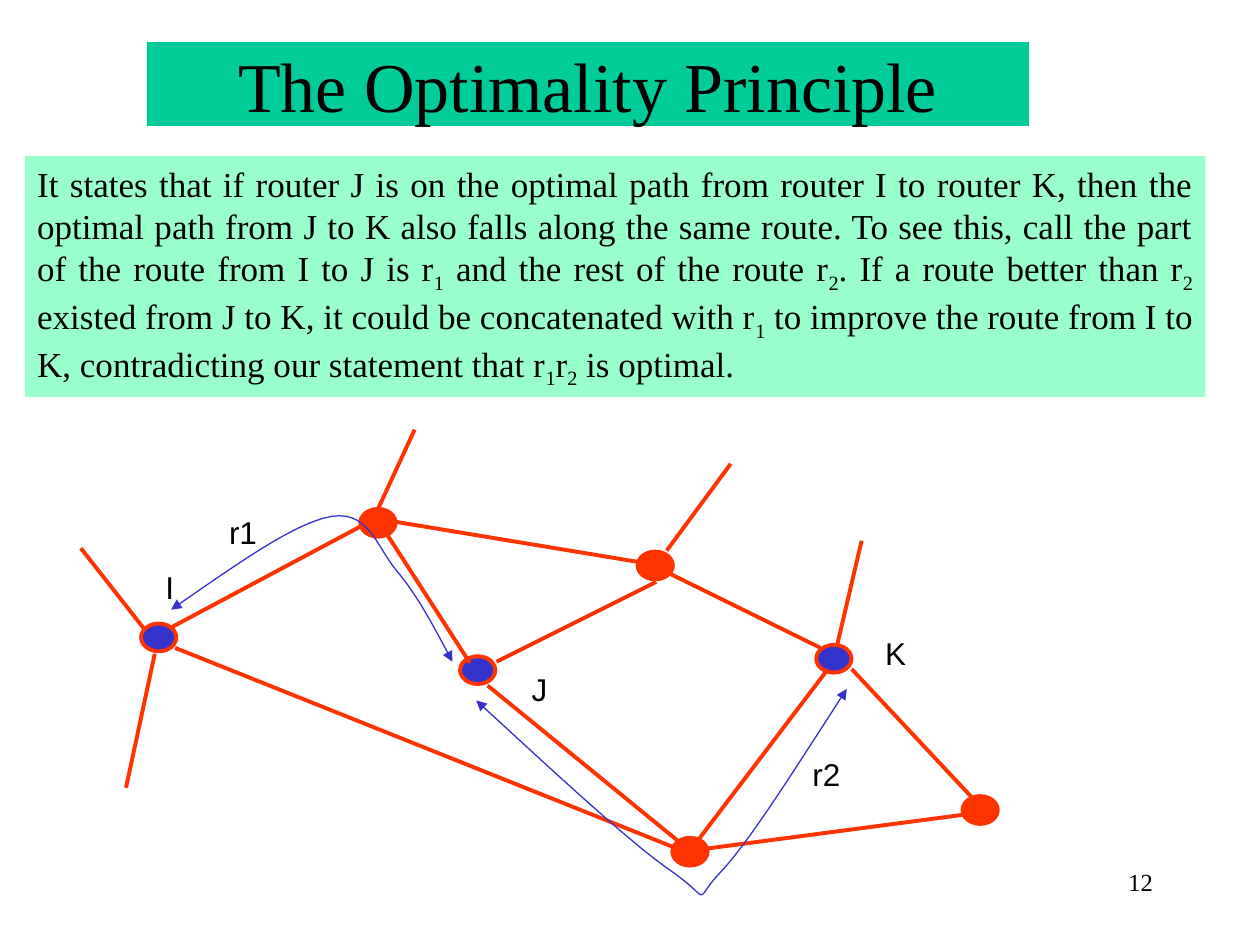
from lxml.etree import SubElement
from pptx import Presentation
from pptx.dml.color import RGBColor
from pptx.enum.shapes import MSO_CONNECTOR, MSO_SHAPE
from pptx.enum.text import MSO_ANCHOR, PP_ALIGN
from pptx.oxml.ns import qn
from pptx.util import Cm, Pt

TITLE_GREEN = RGBColor(0x00, 0xCC, 0x99)
PANEL_GREEN = RGBColor(0x99, 0xFF, 0xCC)
RED = RGBColor(0xFF, 0x33, 0x00)
BLUE = RGBColor(0x33, 0x33, 0xCC)
BLACK = RGBColor(0x00, 0x00, 0x00)
SERIF = "Times New Roman"
SANS = "Arial"

# Text between underscores is set as subscript.
PRINCIPLE = (
    "It states that if router J is on the optimal path from router I to router K, "
    "then the optimal path from J to K also falls along the same route. To see this, "
    "call the part of the route from I to J is r_1_ and the rest of the route r_2_. "
    "If a route better than r_2_ existed from J to K, it could be concatenated with "
    "r_1_ to improve the route from I to K, contradicting our statement that "
    "r_1_r_2_ is optimal."
)

# Diagram coordinates are centimetres from the corner of its box.
NODE_WIDTH, NODE_HEIGHT = 0.71, 0.56
NODES = [
    (1.6, 4.25, BLUE),
    (6.02, 1.94, RED),
    (15.21, 4.68, BLUE),
    (8.03, 4.91, BLUE),
    (11.61, 2.8, RED),
    (18.16, 7.73, RED),
    (12.31, 8.57, RED),
]
LINKS = [
    (1.85, 4.05, 5.84, 1.92),
    (6.22, 2.2, 7.87, 4.76),
    (6.38, 1.92, 11.4, 2.75),
    (11.63, 2.83, 14.94, 4.46),
    (15.57, 4.89, 18.09, 7.58),
    (12.55, 8.52, 17.93, 7.81),
    (11.63, 3.13, 8.41, 4.74),
    (8.23, 5.22, 12.09, 8.37),
    (15.09, 4.89, 12.47, 8.34),
    (1.93, 4.46, 12.01, 8.49),
]
OUTER_LINKS = [
    (0.03, 2.45, 1.3, 4.07),
    (1.52, 4.58, 0.94, 7.28),
    (6.02, 1.66, 6.76, 0.06),
    (15.27, 4.43, 15.77, 2.3),
    (11.84, 2.5, 13.13, 0.75),
]
LABELS = [
    ("I", 1.14, 2.73, 1.37),
    ("J", 8.59, 4.79, 1.37),
    ("K", 15.77, 4.05, 1.37),
    ("r1", 2.31, 1.61, 1.98),
    ("r2", 14.07, 6.49, 1.98),
]
# Bezier points: a start, then two controls and an end for each segment.
ROUTES = [
    [(1.85, 3.69), (3.1, 2.83), (4.32, 1.94), (5.08, 1.81), (5.84, 1.69),
     (5.99, 2.42), (6.4, 2.91), (6.81, 3.39), (7.16, 4.05), (7.52, 4.74)],
    [(8, 5.52), (9.58, 6.97), (11.15, 8.44), (11.99, 9), (12.8, 9.59),
     (12.34, 9.59), (12.93, 8.98), (13.51, 8.37), (14.48, 6.82), (15.47, 5.29)],
]
CURVE_STEPS = 14


def set_font(paragraph, name, size, alignment):
    paragraph.alignment = alignment
    paragraph.font.name = name
    paragraph.font.size = Pt(size)
    paragraph.font.color.rgb = BLACK


def add_text(slide, text, left, top, width, height, name, size, alignment):
    """Add a wrapped text box, with subscripts between underscores."""
    shape = slide.shapes.add_textbox(Cm(left), Cm(top), Cm(width), Cm(height))
    shape.text_frame.word_wrap = True
    paragraph = shape.text_frame.paragraphs[0]
    for index, part in enumerate(text.split("_")):
        run = paragraph.add_run()
        run.text = part
        if index % 2:
            run._r.get_or_add_rPr().set("baseline", "-25000")
    set_font(paragraph, name, size, alignment)
    return shape


def add_title(slide, left, top, width, height):
    title = slide.shapes.title
    title.left, title.top = Cm(left), Cm(top)
    title.width, title.height = Cm(width), Cm(height)
    title.fill.solid()
    title.fill.fore_color.rgb = TITLE_GREEN
    title.text_frame.text = "The Optimality Principle"
    title.text_frame.vertical_anchor = MSO_ANCHOR.MIDDLE
    set_font(title.text_frame.paragraphs[0], SERIF, 40, PP_ALIGN.CENTER)


def add_principle(slide, left, top, width, height):
    panel = add_text(slide, PRINCIPLE, left, top, width, height,
                     SERIF, 20, PP_ALIGN.JUSTIFY)
    panel.fill.solid()
    panel.fill.fore_color.rgb = PANEL_GREEN


def add_node(slide, center_x, center_y, color):
    node = slide.shapes.add_shape(
        MSO_SHAPE.OVAL, Cm(center_x - NODE_WIDTH / 2), Cm(center_y - NODE_HEIGHT / 2),
        Cm(NODE_WIDTH), Cm(NODE_HEIGHT))
    node.shadow.inherit = False
    node.fill.solid()
    node.fill.fore_color.rgb = color
    node.line.color.rgb = RED
    node.line.width = Pt(2.25)


def add_link(slide, start_x, start_y, end_x, end_y):
    link = slide.shapes.add_connector(
        MSO_CONNECTOR.STRAIGHT, Cm(start_x), Cm(start_y), Cm(end_x), Cm(end_y))
    link.line.color.rgb = RED
    link.line.width = Pt(2.25)
    SubElement(link._element.spPr, qn("a:effectLst"))


def curve_points(points):
    """Return the points along a chain of cubic Bezier segments."""
    result = [points[0]]
    for first in range(0, len(points) - 1, 3):
        segment = points[first:first + 4]
        for step in range(1, CURVE_STEPS + 1):
            t = step / CURVE_STEPS
            weights = ((1 - t) ** 3, 3 * t * (1 - t) ** 2, 3 * t * t * (1 - t), t ** 3)
            result.append(tuple(
                sum(weight * point[axis] for weight, point in zip(weights, segment))
                for axis in (0, 1)))
    return result


def add_route(slide, left, top, points):
    """Add a curve with an arrowhead at each end."""
    outline = [(Cm(left + x), Cm(top + y)) for x, y in curve_points(points)]
    builder = slide.shapes.build_freeform(*outline[0])
    builder.add_line_segments(outline[1:], close=False)
    route = builder.convert_to_shape()
    route.shadow.inherit = False
    route.fill.background()
    route.line.color.rgb = BLUE
    route.line.width = Pt(0.75)
    line = route.line._get_or_add_ln()
    for end in ("a:headEnd", "a:tailEnd"):
        SubElement(line, qn(end), type="triangle")


def add_network(slide, left, top):
    for x, y, color in NODES:
        add_node(slide, left + x, top + y, color)
    for start_x, start_y, end_x, end_y in LINKS + OUTER_LINKS:
        add_link(slide, left + start_x, top + start_y, left + end_x, top + end_y)
    for text, x, y, width in LABELS:
        add_text(slide, text, left + x, top + y, width, 1.02,
                 SANS, 18, PP_ALIGN.CENTER)
    for points in ROUTES:
        add_route(slide, left, top, points)


def main():
    presentation = Presentation()
    presentation.slide_width, presentation.slide_height = Cm(25.4), Cm(19.05)
    slide = presentation.slides.add_slide(presentation.slide_layouts[5])
    add_title(slide, 2.96, 0.85, 17.78, 1.69)
    add_principle(slide, 0.5, 3.15, 23.8, 4.85)
    add_network(slide, 1.6, 8.6)
    add_text(slide, "12", 18.2, 17.35, 5.29, 1.27, SERIF, 14, PP_ALIGN.RIGHT)
    presentation.save("out.pptx")


if __name__ == "__main__":
    main()
